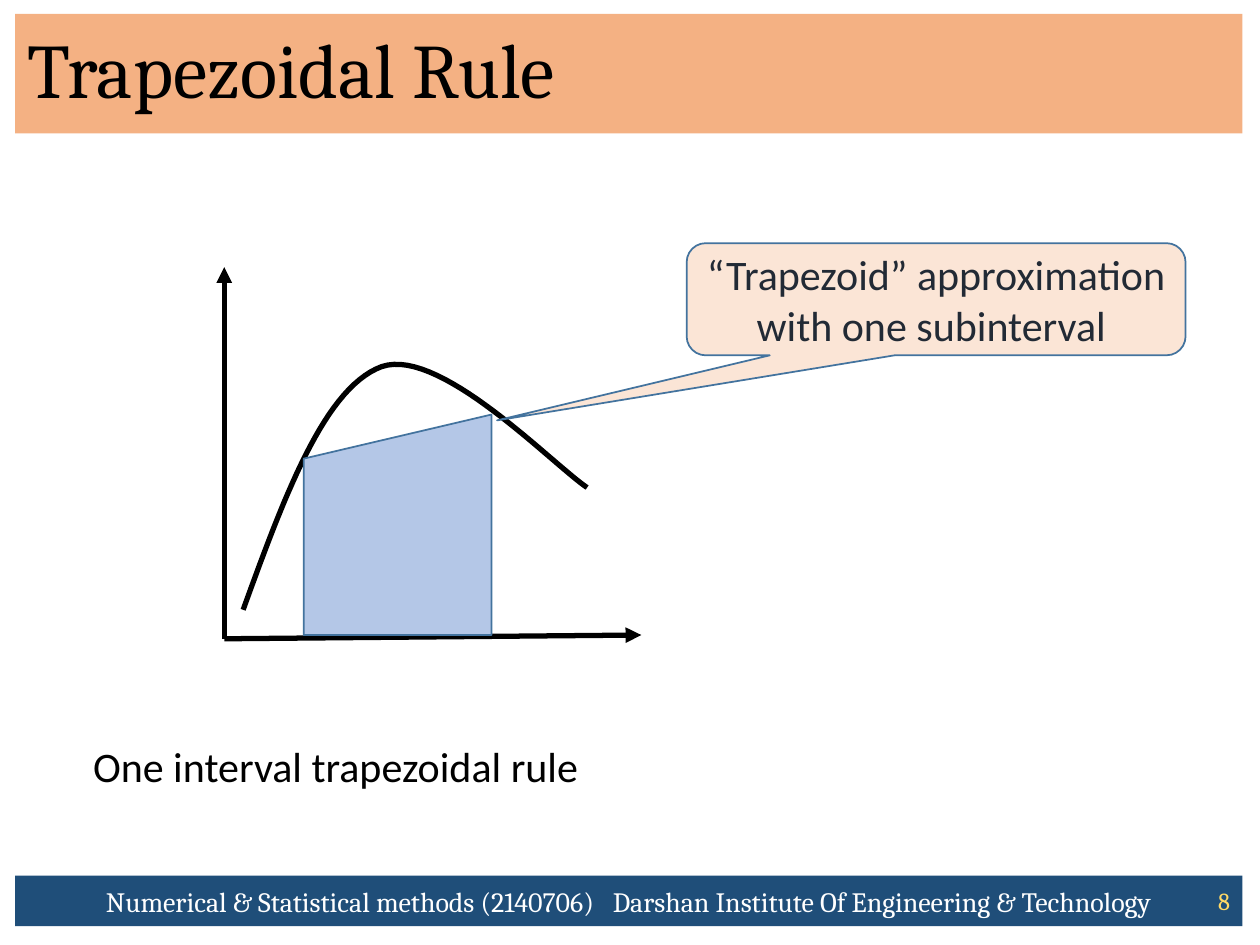
from lxml import etree
from pptx import Presentation
from pptx.dml.color import RGBColor
from pptx.enum.shapes import MSO_CONNECTOR, MSO_SHAPE
from pptx.enum.text import MSO_ANCHOR, PP_ALIGN
from pptx.oxml.ns import qn
from pptx.util import Inches, Pt

BLACK = RGBColor(0x00, 0x00, 0x00)
WHITE = RGBColor(0xFF, 0xFF, 0xFF)
ORANGE = RGBColor(0xF4, 0xB1, 0x83)
NAVY = RGBColor(0x1F, 0x4E, 0x79)
YELLOW = RGBColor(0xFF, 0xD9, 0x66)
LIGHT_BLUE = RGBColor(0xB4, 0xC7, 0xE7)
EDGE_BLUE = RGBColor(0x43, 0x73, 0x9E)
PEACH = RGBColor(0xFB, 0xE5, 0xD6)
SLATE = RGBColor(0x22, 0x2A, 0x35)

# Content
TITLE = "Trapezoidal Rule"
COURSE = "Numerical & Statistical methods (2140706)"
INSTITUTE = "Darshan Institute Of Engineering & Technology"
PAGE = "8"
CALLOUT = "“Trapezoid” approximation with one subinterval "
CAPTION = "One interval trapezoidal rule"

# Plot geometry in inches
ORIGIN = (1.78, 5.07)
AXIS_ENDS = [(1.78, 2.12), (5.09, 5.04)]
CURVE = [  # cubic segments: start, two controls, end
    [(1.93, 4.84), (2.25, 3.96), (2.57, 3.08), (3.03, 2.91)],
    [(3.03, 2.91), (3.49, 2.75), (4.38, 3.68), (4.66, 3.87)],
]
STEPS = 30


def add_block(slide, kind, box, fill, line=None):
    s = slide.shapes.add_shape(kind, *map(Inches, box))
    s.shadow.inherit = False
    s.fill.solid()
    s.fill.fore_color.rgb = fill
    if line is None:
        s.line.fill.background()
    else:
        s.line.color.rgb = line
        s.line.width = Pt(1)
    return s


def add_text_box(slide, box):
    return slide.shapes.add_textbox(*map(Inches, box))


def write(s, texts, size, font, color, align=PP_ALIGN.LEFT, anchor=MSO_ANCHOR.MIDDLE):
    tf = s.text_frame
    tf.word_wrap = True
    tf.vertical_anchor = anchor
    p = tf.paragraphs[0]
    p.alignment = align
    for text in texts:
        r = p.add_run()
        r.text = text
        r.font.size = Pt(size)
        r.font.name = font
        r.font.color.rgb = color
    return p


def add_axis(slide, start, end):
    s = slide.shapes.add_connector(MSO_CONNECTOR.STRAIGHT, *map(Inches, start + end))
    s.line.color.rgb = BLACK
    s.line.width = Pt(3)
    etree.SubElement(s.line._get_or_add_ln(), qn("a:tailEnd"), type="triangle")
    etree.SubElement(s._element.spPr, qn("a:effectLst"))


def bezier(points, t):
    weights = ((1 - t) ** 3, 3 * t * (1 - t) ** 2, 3 * t * t * (1 - t), t ** 3)
    return tuple(Inches(sum(w * pt[i] for w, pt in zip(weights, points))) for i in (0, 1))


def add_curve(slide):
    points = [bezier(CURVE[0], 0)]
    for segment in CURVE:
        points += [bezier(segment, k / STEPS) for k in range(1, STEPS + 1)]
    builder = slide.shapes.build_freeform(*points[0])
    builder.add_line_segments(points[1:], close=False)
    s = builder.convert_to_shape()
    s.shadow.inherit = False
    s.fill.background()
    s.line.color.rgb = BLACK
    s.line.width = Pt(3)


def main():
    prs = Presentation()
    prs.slide_width, prs.slide_height = Inches(10), Inches(7.5)
    slide = prs.slides.add_slide(prs.slide_layouts[6])

    # Title band
    s = add_block(slide, MSO_SHAPE.RECTANGLE, (0.12, 0.11, 9.74, 0.95), ORANGE)
    write(s, [TITLE], 44, "Cambria", BLACK).line_spacing = 0.9

    # Footer band; the middle run is one widened space
    s = add_block(slide, MSO_SHAPE.RECTANGLE, (0.12, 6.95, 9.74, 0.4), NAVY)
    p = write(s, [COURSE, " ", INSTITUTE], 16, "Cambria", WHITE, PP_ALIGN.CENTER)
    p.runs[1].font._element.set("spc", "700")
    s = add_text_box(slide, (9.29, 6.95, 0.57, 0.4))
    write(s, [PAGE], 14, "Cambria", YELLOW, PP_ALIGN.RIGHT)

    # Plot: axes, curve and trapezoid
    for end in AXIS_ENDS:
        add_axis(slide, ORIGIN, end)
    add_curve(slide)
    add_block(slide, MSO_SHAPE.FLOWCHART_MANUAL_INPUT, (2.41, 3.29, 1.49, 1.75),
              LIGHT_BLUE, EDGE_BLUE)

    # Callout
    s = add_block(slide, MSO_SHAPE.ROUNDED_RECTANGULAR_CALLOUT,
                  (5.45, 1.93, 3.96, 0.89), PEACH, EDGE_BLUE)
    for i, value in enumerate((-0.88, 1.08, 0.17)):
        s.adjustments[i] = value
    write(s, [CALLOUT], 24, "Calibri", SLATE, PP_ALIGN.CENTER)

    # Caption
    s = add_text_box(slide, (0.64, 5.83, 6.53, 0.5))
    write(s, [CAPTION], 24, "Calibri", BLACK, anchor=MSO_ANCHOR.TOP)

    prs.save("out.pptx")


if __name__ == "__main__":
    main()
